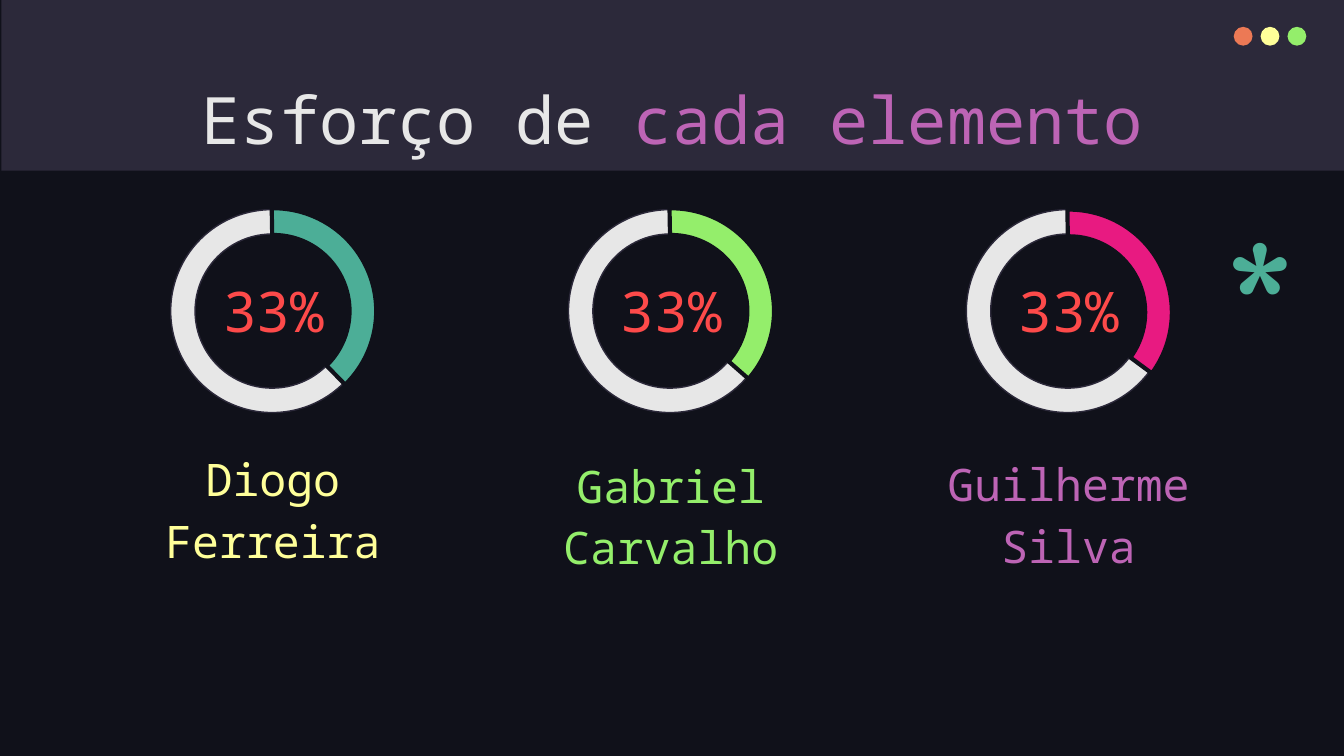
"""Build a slide with one effort ring for each team member."""
from pptx import Presentation
from pptx.dml.color import RGBColor
from pptx.enum import shapes, text
from pptx.util import Inches, Pt

THEME = {
    "back": "10111A", "band": "2C293A", "light": "E7E7E7", "orange": "EC7955",
    "yellow": "FFFF99", "green": "94EE6B", "teal": "4CAE97", "pink": "E81A81",
    "purple": "BD64B5", "red": "FD4A4A",
    "mono": "Noto Sans Mono", "round": "Comfortaa",
    "title": 35, "percent": 30, "name": 24, "star": 96,
}
TITLE = [("Esforço de", "light"), (" cada elemento", "purple")]
DOTS = ["orange", "yellow", "green"]
MEMBERS = [
    {"name": "Diogo Ferreira", "share": "33%", "ink": "yellow", "arc": "teal",
     "start": 80.55, "top": 3.67, "arc_top": 1.55},
    {"name": "Gabriel Carvalho", "share": "33%", "ink": "green", "arc": "green",
     "start": 83.25, "top": 3.72, "arc_top": 1.55},
    {"name": "Guilherme Silva", "share": "33%", "ink": "purple", "arc": "pink",
     "start": 86.18, "top": 3.71, "arc_top": 1.56},
]
ARC_END, ARC_WIDTH, RING_WIDTH = 162.57, 0.13, 0.12
WIDTH = 10
HEIGHT = WIDTH * 9 / 16
FIRST_CENTRE, STEP = 2.03, 2.96
MSO = shapes.MSO_SHAPE
ANCHOR = text.MSO_ANCHOR


def color(key):
    return RGBColor.from_string(THEME[key])


def add_figure(s, kind, box, fill, line=None, width=0):
    sp = s.shapes.add_shape(kind, *map(Inches, box))
    sp.shadow.inherit = False
    sp.fill.solid()
    sp.fill.fore_color.rgb = color(fill)
    if line:
        sp.line.color.rgb = color(line)
        sp.line.width = Pt(width)
    else:
        sp.line.fill.background()
    return sp


def write(sp, runs, size, font="mono", anchor=ANCHOR.TOP,
          align=text.PP_ALIGN.CENTER, spacing=None):
    tf = sp.text_frame
    tf.word_wrap = True
    tf.auto_size = text.MSO_AUTO_SIZE.NONE
    tf.vertical_anchor = anchor
    tf.margin_left = tf.margin_right = tf.margin_top = tf.margin_bottom = Inches(0.1)
    p = tf.paragraphs[0]
    p.alignment = align
    if spacing:
        p.line_spacing = spacing
    p.font.size = Pt(THEME[size])
    p.font.name = THEME[font]
    for words, ink in runs:
        r = p.add_run()
        r.text = words
        r.font.color.rgb = color(ink)


def add_text(s, box, *args, **options):
    write(s.shapes.add_textbox(*map(Inches, box)), *args, **options)


def add_member(s, centre, m):
    left = centre - 0.76
    ring = add_figure(s, MSO.DONUT, (left, 1.56, 1.51, 1.51), "light", "band", 0.75)
    ring.adjustments[0] = RING_WIDTH
    arc = add_figure(s, MSO.BLOCK_ARC, (left, m["arc_top"], 1.53, 1.53),
                     m["arc"], "back", 2.25)
    for i, value in enumerate((m["start"], ARC_END, ARC_WIDTH)):
        arc.adjustments[i] = value
    arc.element.spPr.xfrm.set("flipH", "1")
    add_text(s, (centre - 0.57, 2.09, 1.15, 0.44), [(m["share"], "red")],
             "percent", anchor=ANCHOR.MIDDLE)
    add_text(s, (centre - 1.26, m["top"], 2.52, 0.65), [(m["name"], m["ink"])],
             "name", anchor=ANCHOR.BOTTOM, spacing=1.15)


def main():
    prs = Presentation()
    prs.slide_width, prs.slide_height = Inches(WIDTH), Inches(HEIGHT)
    s = prs.slides.add_slide(prs.slide_layouts[5])
    s.background.fill.solid()
    s.background.fill.fore_color.rgb = color("back")

    add_figure(s, MSO.RECTANGLE, (0.01, 0, WIDTH, 1.27), "band")
    for i, dot in enumerate(DOTS):
        add_figure(s, MSO.OVAL, (9.18 + i * 0.2, 0.2, 0.14, 0.14), dot)

    title = s.shapes.title
    title.left, title.top, title.width, title.height = map(
        Inches, (0.79, 0.49, 8.43, 0.63))
    write(title, TITLE, "title")
    title.element.getparent().append(title.element)

    for i, member in enumerate(MEMBERS):
        add_member(s, FIRST_CENTRE + i * STEP, member)
    add_text(s, (9.02, 1.42, 0.7, 0.8), [("*", "teal")], "star",
             font="round", align=text.PP_ALIGN.LEFT)
    prs.save("out.pptx")


if __name__ == "__main__":
    main()
